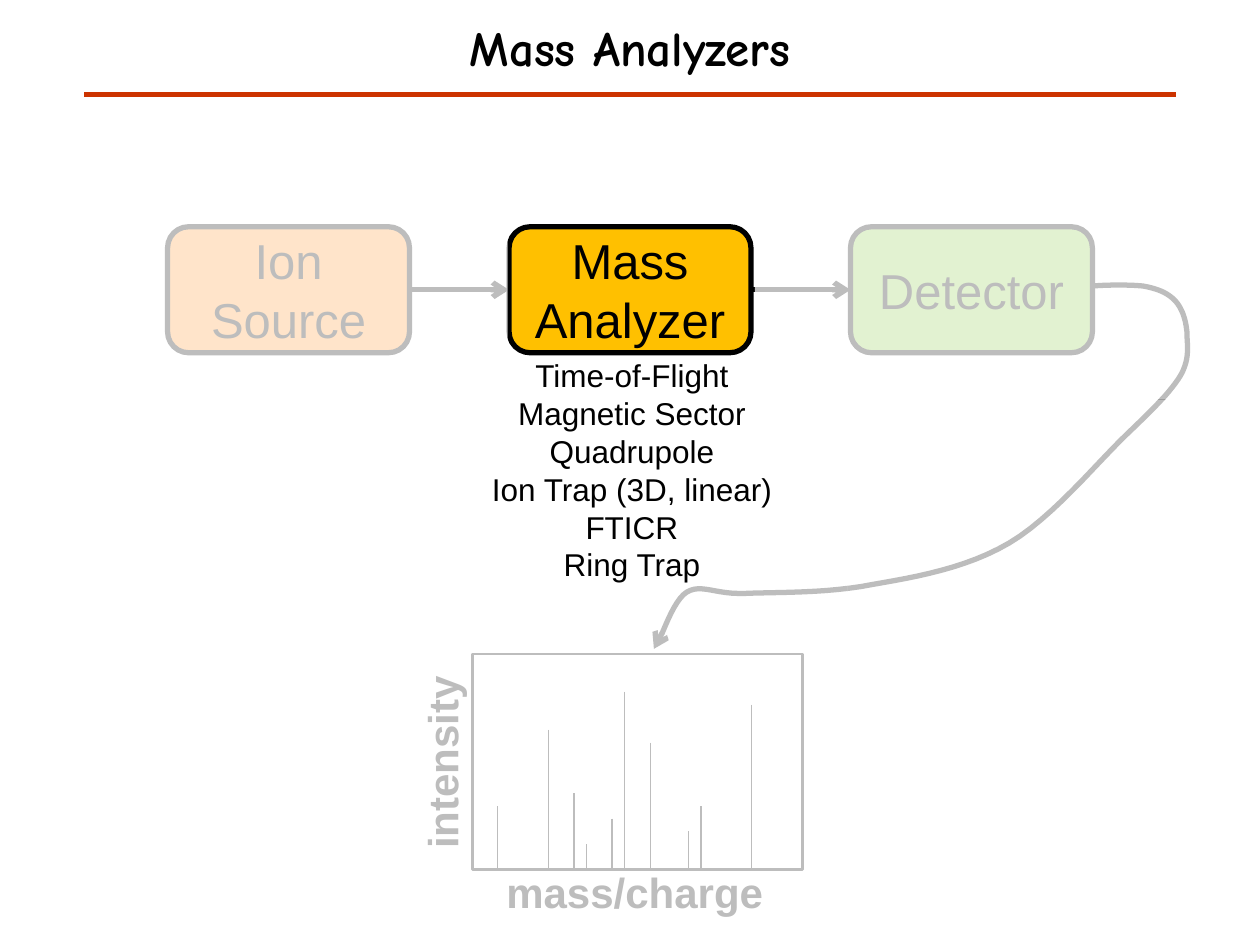
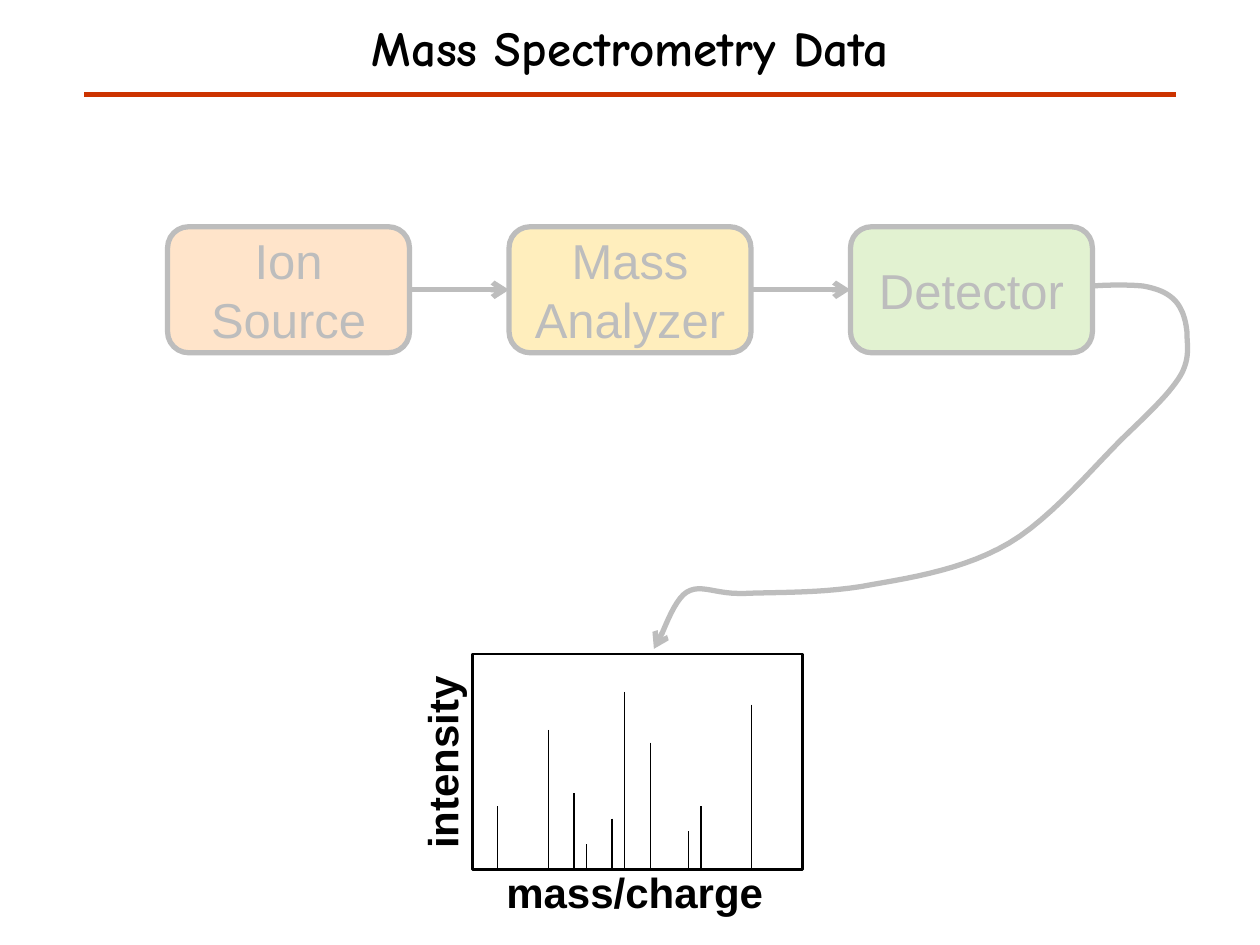
"""Builds two slides that show the stages of a mass spectrometer."""
from dataclasses import dataclass
from typing import Any, NamedTuple

from lxml.etree import SubElement as Sub
from pptx import Presentation
from pptx.dml.color import RGBColor as Rgb
from pptx.enum.shapes import MSO_CONNECTOR as Link, MSO_SHAPE as Kind
from pptx.enum.text import MSO_ANCHOR as Anchor, MSO_AUTO_SIZE as Fit, PP_ALIGN as Align
from pptx.oxml.ns import qn
from pptx.util import Inches, Pt


@dataclass(frozen=True)
class Theme:
    ink: str = "000000"
    paper: str = "FFFFFF"
    rule: str = "CC3300"
    source: str = "FF9933"
    filter: str = "FFC000"
    sensor: str = "92D050"
    head: str = "Comic Neue"
    body: str = "Arial"
    large: int = 28
    label: int = 24
    small: int = 18
    thick: float = 3
    band: float = 2.5
    frame: float = 1.5
    thin: float = 0.75
    veil: int = 74


class Rect(NamedTuple):
    x: float
    y: float
    w: float
    h: float


class Stage(NamedTuple):
    name: str
    fill: str


class Note(NamedTuple):
    lines: tuple[str, ...]
    at: Rect
    size: int
    bold: bool = False
    align: Any = Align.LEFT
    turn: int = 0


class Peak(NamedTuple):
    col: int
    rows: int


class Page(NamedTuple):
    title: str
    notes: tuple[Note, ...]
    veils: tuple[Rect, ...]


T = Theme()
STAGES = (
    Stage("Ion Source", T.source),
    Stage("Mass Analyzer", T.filter),
    Stage("Detector", T.sensor),
)
FIRST, PITCH = Rect(1.33, 1.8, 1.92, 1), 2.71
PLOT, COLS, ROWS = Rect(3.75, 5.19, 2.62, 1.71), 26, 17
PEAKS = (
    Peak(2, 5), Peak(6, 11), Peak(8, 6), Peak(9, 2), Peak(11, 4),
    Peak(12, 14), Peak(14, 10), Peak(17, 3), Peak(18, 5), Peak(22, 13),
)
AXES = (
    Note(("mass/charge",), Rect(3.92, 6.83, 2.26, 0.5), T.label, True),
    Note(("intensity",), Rect(2.71, 5.79, 1.59, 0.5), T.label, True, turn=270),
)
TYPES = Note(
    ("Time-of-Flight", "Magnetic Sector", "Quadrupole", "Ion Trap (3D, linear)", "FTICR", "Ring Trap"),
    Rect(3.79, 2.78, 2.45, 1.92), T.small, align=Align.CENTER,
)
START, TIP = (8.67, 2.27), (5.19, 5.15)
CURVES = (
    ((8.81, 2.26), (8.96, 2.26), (9.07, 2.27)),
    ((9.18, 2.29), (9.26, 2.32), (9.32, 2.38)),
    ((9.38, 2.44), (9.41, 2.53), (9.42, 2.63)),
    ((9.42, 2.73), (9.45, 2.84), (9.37, 2.98)),
    ((9.29, 3.11), (9.17, 3.23), (8.94, 3.45)),
    ((8.71, 3.67), (8.35, 4.11), (8.01, 4.31)),
    ((7.67, 4.51), (7.27, 4.58), (6.92, 4.64)),
    ((6.57, 4.71), (6.16, 4.7), (5.92, 4.71)),
    ((5.67, 4.72), (5.57, 4.63), (5.45, 4.7)),
    ((5.34, 4.77), (5.26, 5.04), (5.21, 5.12)),
)
PAGES = (
    Page("Mass Analyzers", (TYPES,), (
        Rect(5.99, 0.88, 3.62, 2.29), Rect(0.41, 0.86, 3.62, 2.31),
        Rect(2.92, 4.63, 3.81, 2.87), Rect(6.73, 3.17, 2.94, 3.5),
    )),
    Page("Mass Spectrometry Data", (), (Rect(0.39, 1.17, 9.61, 4),)),
)


def put(item: Any, vals: dict[str, Any]) -> None:
    for key, val in vals.items():
        setattr(item, key, val)


def place(at: Rect) -> list[int]:
    return [Inches(v) for v in at]


def write(frame: Any, lines: tuple[str, ...], size: int, align: Any = Align.CENTER,
          font: str = T.body, bold: bool = False) -> None:
    frame.text = "\n".join(lines)
    for para in frame.paragraphs:
        para.alignment = align
        run = para.runs[0]
        put(run.font, {"name": font, "size": Pt(size), "bold": bold})
        run.font.color.rgb = Rgb.from_string(T.ink)


def stroke(item: Any, width: float, color: str = T.ink, arrow: bool = False) -> None:
    item.line.color.rgb = Rgb.from_string(color)
    item.line.width = Pt(width)
    if arrow:
        line = item.element.spPr.find(qn("a:ln"))
        Sub(line, qn("a:tailEnd"), type="arrow")


def block(shapes: Any, kind: Any, at: Rect, fill: str) -> Any:
    item = shapes.add_shape(kind, *place(at))
    item.shadow.inherit = False
    item.fill.solid()
    item.fill.fore_color.rgb = Rgb.from_string(fill)
    return item


def link(shapes: Any, x: float, y: float, x2: float, y2: float,
         width: float, color: str = T.ink, arrow: bool = False) -> Any:
    item = shapes.add_connector(Link.STRAIGHT, *place(Rect(x, y, x2, y2)))
    stroke(item, width, color, arrow)
    Sub(item.element.spPr, qn("a:effectLst"))
    return item


def head(slide: Any, title: str) -> None:
    item = slide.shapes.title
    put(item, dict(zip(("left", "top", "width", "height"), place(Rect(0, 0, 10, 0.75)))))
    put(item.text_frame, {"vertical_anchor": Anchor.MIDDLE, "auto_size": Fit.NONE})
    write(item.text_frame, (title,), T.large, font=T.head, bold=True)
    link(slide.shapes, 0.67, 0.75, 9.33, 0.75, T.band, T.rule)


def chain(shapes: Any) -> None:
    boxes = []
    for i, stage in enumerate(STAGES):
        at = FIRST._replace(x=FIRST.x + i * PITCH)
        box = block(shapes, Kind.ROUNDED_RECTANGLE, at, stage.fill)
        stroke(box, T.thick)
        put(box.text_frame, {"vertical_anchor": Anchor.MIDDLE, "word_wrap": True})
        write(box.text_frame, (stage.name,), T.large)
        boxes.append(box)
    mid = FIRST.y + FIRST.h / 2
    for a, b in zip(boxes, boxes[1:]):
        arm = link(shapes, FIRST.x, mid, FIRST.x + PITCH, mid, T.thick, arrow=True)
        arm.begin_connect(a, 3)
        arm.end_connect(b, 1)


def label(shapes: Any, note: Note) -> None:
    item = shapes.add_textbox(*place(note.at))
    item.rotation = note.turn
    put(item.text_frame, {"word_wrap": False, "auto_size": Fit.SHAPE_TO_FIT_TEXT})
    write(item.text_frame, note.lines, note.size, note.align, bold=note.bold)


def plot(shapes: Any) -> None:
    group = shapes.add_group_shape().shapes
    stroke(block(group, Kind.RECTANGLE, PLOT, T.paper), T.frame)
    base = PLOT.y + PLOT.h
    for peak in PEAKS:
        x = PLOT.x + peak.col * PLOT.w / COLS
        link(group, x, base - peak.rows * PLOT.h / ROWS, x, base, T.thin)
    for note in AXES:
        label(shapes, note)


def trail(shapes: Any, steps: int = 12) -> None:
    dots, last = [], START
    for a, b, end in CURVES:
        for i in range(1, steps + 1):
            t = i / steps
            u = 1 - t
            mix = (u ** 3, 3 * u * u * t, 3 * u * t * t, t ** 3)
            dots.append(tuple(
                Inches(sum(m * v for m, v in zip(mix, axis)))
                for axis in zip(last, a, b, end)
            ))
        last = end
    dots.append(tuple(Inches(v) for v in TIP))
    pen = shapes.build_freeform(*(Inches(v) for v in START))
    pen.add_line_segments(dots, close=False)
    item = pen.convert_to_shape()
    item.shadow.inherit = False
    item.fill.background()
    stroke(item, T.thick, arrow=True)


def veil(shapes: Any, at: Rect) -> None:
    item = block(shapes, Kind.RECTANGLE, at, T.paper)
    item.line.fill.background()
    color = item.element.spPr.find(qn("a:solidFill")).find(qn("a:srgbClr"))
    Sub(color, qn("a:alpha"), val=str(T.veil * 1000))


def main() -> None:
    deck = Presentation()
    put(deck, {"slide_width": Inches(10), "slide_height": Inches(7.5)})
    for page in PAGES:
        slide = deck.slides.add_slide(deck.slide_layouts.get_by_name("Title Only"))
        shapes = slide.shapes
        head(slide, page.title)
        chain(shapes)
        for note in page.notes:
            label(shapes, note)
        plot(shapes)
        trail(shapes)
        for at in page.veils:
            veil(shapes, at)
    deck.save("out.pptx")


if __name__ == "__main__":
    main()
